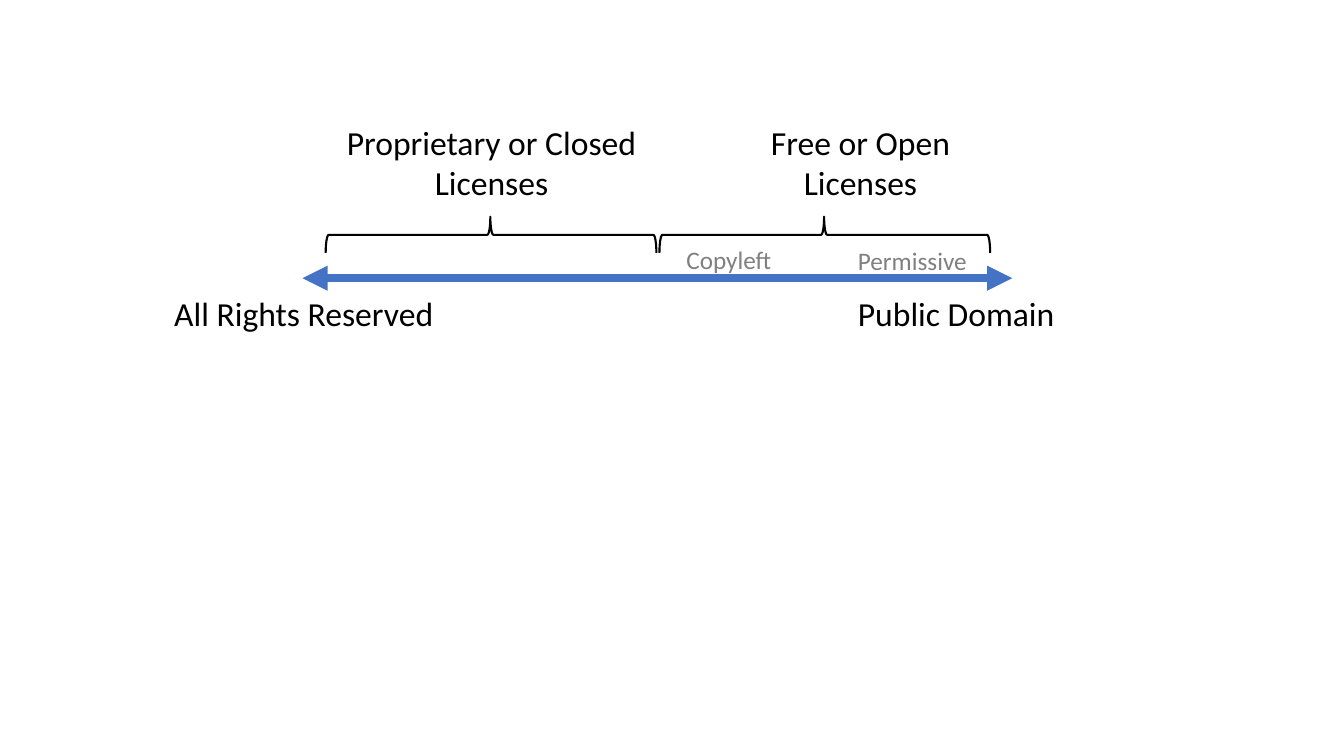
from lxml import etree
from pptx import Presentation
from pptx.dml.color import RGBColor
from pptx.enum.shapes import MSO_CONNECTOR, MSO_SHAPE
from pptx.enum.text import PP_ALIGN
from pptx.oxml.ns import qn
from pptx.util import Inches, Pt

BLACK = RGBColor(0x00, 0x00, 0x00)
GRAY = RGBColor(0x80, 0x80, 0x80)
BLUE = RGBColor(0x44, 0x72, 0xC4)


def write_text(frame, text, font="Calibri", size=24, color=BLACK,
               align=PP_ALIGN.LEFT, wrap=True):
    frame.word_wrap = wrap
    paragraph = frame.paragraphs[0]
    paragraph.alignment = align
    run = paragraph.add_run()
    run.text = text
    run.font.name = font
    run.font.size = Pt(size)
    run.font.color.rgb = color


class SpectrumSlide:
    """Holds the slide and draws its elements in one style."""

    def __init__(self, presentation):
        self.slide = presentation.slides.add_slide(presentation.slide_layouts[6])

    def label(self, text, left, top, width, height, **text_format):
        box = self.slide.shapes.add_textbox(
            Inches(left), Inches(top), Inches(width), Inches(height))
        write_text(box.text_frame, text, **text_format)

    def double_arrow(self, left, right, y, color=BLUE, weight=6):
        arrow = self.slide.shapes.add_connector(
            MSO_CONNECTOR.STRAIGHT,
            Inches(left), Inches(y), Inches(right), Inches(y))
        arrow.line.color.rgb = color
        arrow.line.width = Pt(weight)
        line = arrow.line._get_or_add_ln()
        for end in ("a:headEnd", "a:tailEnd"):
            etree.SubElement(line, qn(end), type="triangle")
        etree.SubElement(arrow._element.spPr, qn("a:effectLst"))

    def top_brace(self, center, middle, span=3.28, depth=0.36):
        # A left brace turned a quarter, so its span runs sideways
        brace = self.slide.shapes.add_shape(
            MSO_SHAPE.LEFT_BRACE,
            Inches(center - depth / 2), Inches(middle - span / 2),
            Inches(depth), Inches(span))
        brace.rotation = 90
        brace.adjustments[0] = 0.083
        brace.adjustments[1] = 0.502
        brace.fill.background()
        brace.line.color.rgb = BLACK
        brace.line.width = Pt(1.5)
        brace.shadow.inherit = False


def main():
    presentation = Presentation()
    presentation.slide_width = Inches(13.33)
    presentation.slide_height = Inches(7.5)
    spectrum = SpectrumSlide(presentation)

    # Ends of the license spectrum
    spectrum.label("All Rights Reserved", 1.63, 2.86, 3.16, 0.5)
    spectrum.label("Public Domain", 8.41, 2.86, 2.71, 0.5)
    spectrum.double_arrow(3, 10.04, 2.76)

    # License families above the arrow
    for brace_center in (4.87, 8.18):
        spectrum.top_brace(brace_center, 2.33)
    for family, left, width in (("Proprietary or Closed Licenses", 3.32, 3.11),
                                ("Free or Open Licenses", 7.22, 2.63)):
        spectrum.label(family, left, 1.16, width, 0.91, align=PP_ALIGN.CENTER)

    # Kinds of open license
    for kind, left, top, width in (("Copyleft", 6.71, 2.37, 1.06),
                                   ("Permissive", 8.41, 2.38, 1.29)):
        spectrum.label(kind, left, top, width, 0.4,
                       size=18, color=GRAY, wrap=False)

    presentation.save("out.pptx")


if __name__ == "__main__":
    main()
